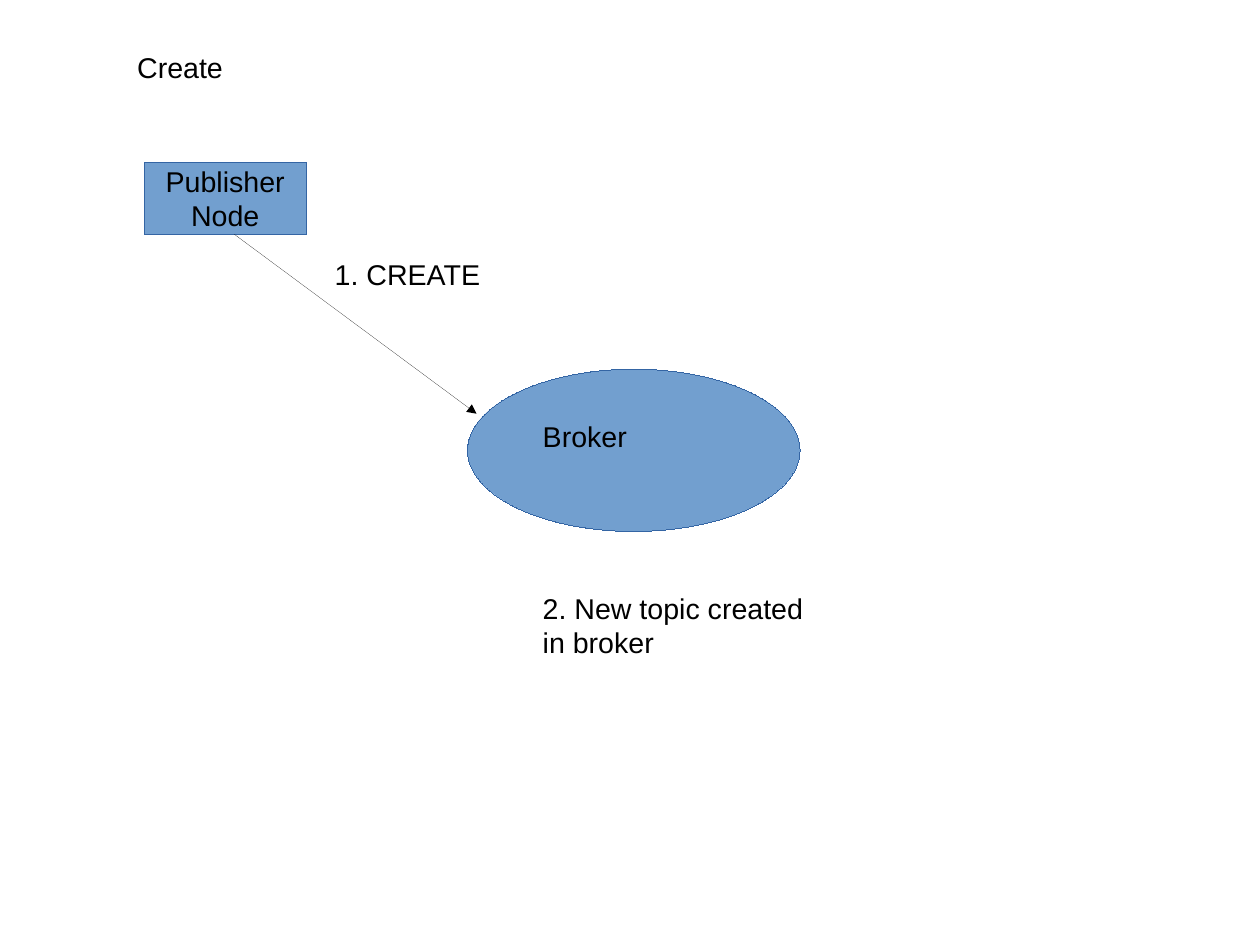
from dataclasses import dataclass

from lxml.etree import SubElement
from pptx import Presentation
from pptx.dml.color import RGBColor
from pptx.enum.shapes import MSO_CONNECTOR as Connector, MSO_SHAPE as Shape
from pptx.enum.text import MSO_ANCHOR as Anchor, MSO_AUTO_SIZE as AutoSize, PP_ALIGN as Align
from pptx.oxml.ns import qn
from pptx.util import Cm, Inches, Pt


@dataclass(frozen=True)
class Theme:
    font: str = "Arial"
    size: int = 18
    text: RGBColor = RGBColor(0x00, 0x00, 0x00)
    fill: RGBColor = RGBColor(0x72, 0x9F, 0xCF)
    outline: RGBColor = RGBColor(0x34, 0x65, 0xA4)
    arrow: RGBColor = RGBColor(0x00, 0x00, 0x00)


THEME = Theme()
SLIDE_WIDTH, SLIDE_HEIGHT = Cm(28), Cm(21)

# Boxes are left, top, width, height in inches
TITLE = ("Create", (1.1, 0.39, 3.46, 0.38))
BROKER = (Shape.OVAL, (4.09, 3.23, 2.91, 1.42))
PUBLISHER = (Shape.RECTANGLE, (1.26, 1.42, 1.42, 0.63))
PUBLISHER_LINES = ["Publisher", "Node"]
LABELS = [
    ("Broker", (4.65, 3.62, 1.81, 0.38)),
    ("1. CREATE", (2.83, 2.2, 2.36, 0.38)),
    ("2. New topic created in broker", (4.65, 5.12, 2.6, 0.66)),
]
CREATE_ARROW = ((2.05, 2.05), (4.17, 3.62))


def inches(values):
    return [Inches(value) for value in values]


def write(shape, lines, align=Align.LEFT, anchor=Anchor.TOP, wrap=True,
          fit=AutoSize.SHAPE_TO_FIT_TEXT):
    frame = shape.text_frame
    frame.text = "\n".join(lines)
    frame.word_wrap = wrap
    frame.auto_size = fit
    frame.vertical_anchor = anchor
    frame.margin_left = frame.margin_right = Inches(0.1)
    frame.margin_top = frame.margin_bottom = Inches(0.05)
    for paragraph in frame.paragraphs:
        paragraph.alignment = align
        paragraph.space_before = Pt(0)
        paragraph.font.name = THEME.font
        paragraph.font.size = Pt(THEME.size)
        paragraph.font.color.rgb = THEME.text


def draw_hairline(line, color):
    """Write the zero width into the XML, since line.width leaves a zero out."""
    line.color.rgb = color
    properties = line._get_or_add_ln()
    properties.set("w", "0")
    return properties


def add_node(slide, preset, box):
    node = slide.shapes.add_shape(preset, *inches(box))
    node.shadow.inherit = False
    node.fill.solid()
    node.fill.fore_color.rgb = THEME.fill
    draw_hairline(node.line, THEME.outline)
    return node


def add_arrow(slide, start, end):
    arrow = slide.shapes.add_connector(Connector.STRAIGHT, *inches(start + end))
    properties = draw_hairline(arrow.line, THEME.arrow)
    SubElement(properties, qn("a:tailEnd"), type="triangle")
    SubElement(properties.getparent(), qn("a:effectLst"))


def main():
    deck = Presentation()
    deck.slide_width, deck.slide_height = SLIDE_WIDTH, SLIDE_HEIGHT
    # The default template marks its size as a 4:3 screen
    deck.element.find(qn("p:sldSz")).attrib.pop("type", None)
    slide = deck.slides.add_slide(deck.slide_layouts[5])

    heading, heading_box = TITLE
    title = slide.shapes.title
    title.left, title.top, title.width, title.height = inches(heading_box)
    write(title, [heading])

    add_node(slide, *BROKER)
    publisher = add_node(slide, *PUBLISHER)
    write(publisher, PUBLISHER_LINES, align=Align.CENTER, anchor=Anchor.MIDDLE,
          wrap=False, fit=AutoSize.NONE)
    add_arrow(slide, *CREATE_ARROW)
    for label, box in LABELS:
        write(slide.shapes.add_textbox(*inches(box)), [label])

    deck.save("out.pptx")


if __name__ == "__main__":
    main()
